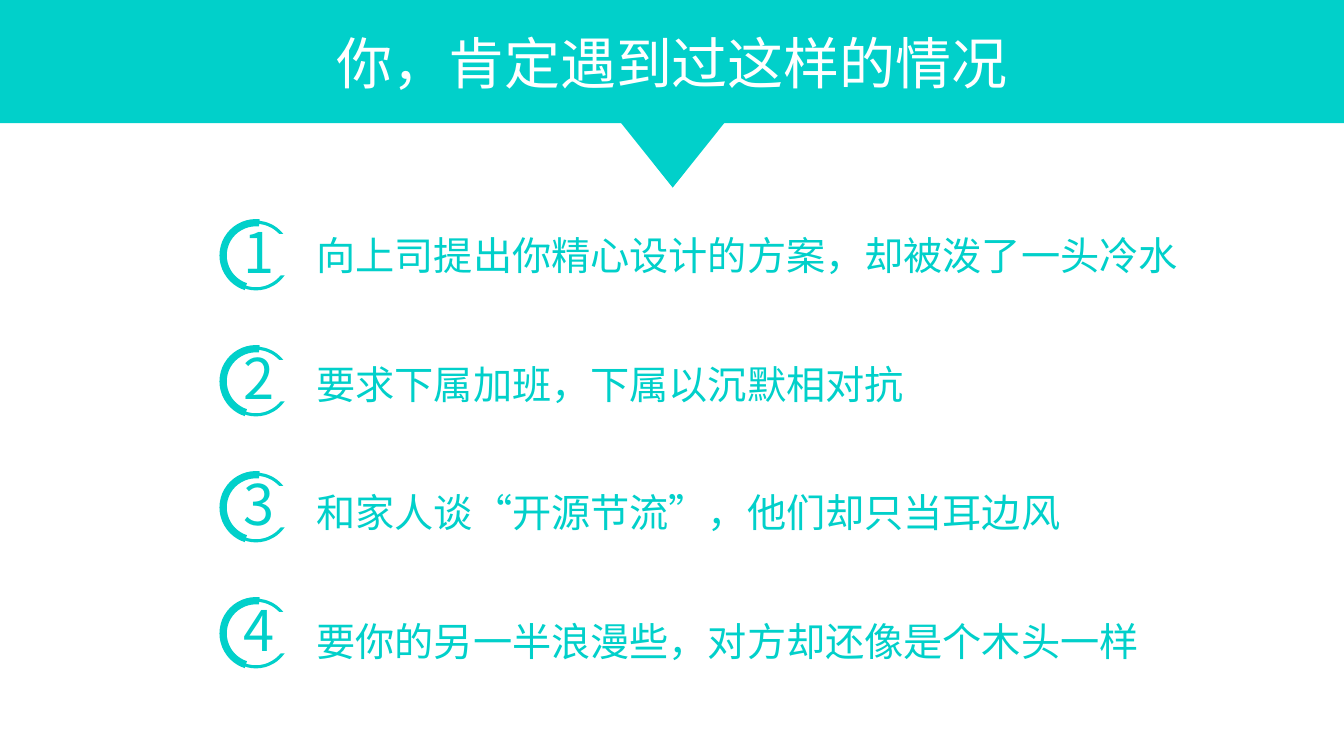
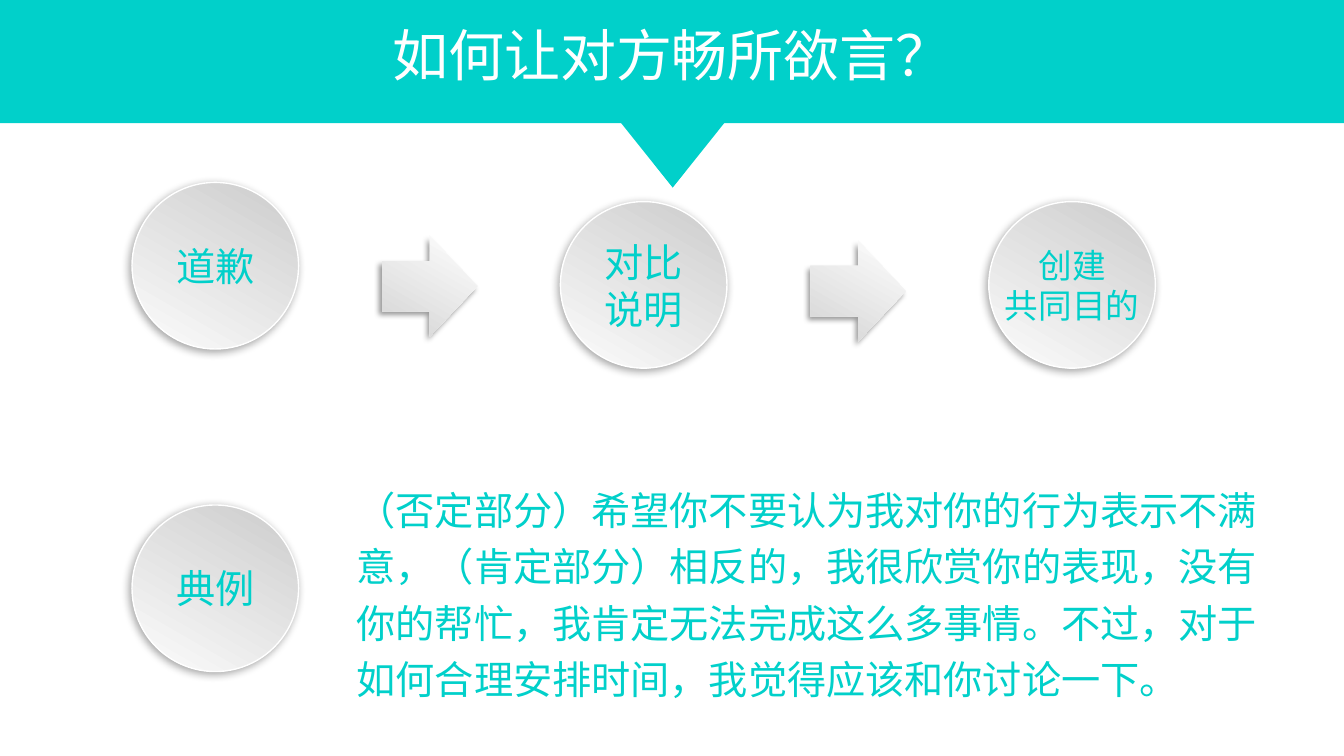
from dataclasses import dataclass
from lxml.etree import SubElement
from pptx import Presentation
from pptx.dml.color import RGBColor as RGB
from pptx.enum.shapes import MSO_SHAPE as SHAPE
from pptx.enum.text import MSO_ANCHOR as ANCHOR, MSO_AUTO_SIZE as AUTO, PP_ALIGN as ALIGN
from pptx.oxml.ns import qn
from pptx.util import Pt


@dataclass(frozen=True)
class Theme:
    teal: RGB = RGB(0x01, 0xD0, 0xCA)
    white: RGB = RGB(0xFF, 0xFF, 0xFF)
    pale: RGB = RGB(0xFC, 0xFC, 0xFC)
    grey: RGB = RGB(0xD9, 0xD9, 0xD9)
    dark_grey: RGB = RGB(0xCC, 0xCC, 0xCC)
    font: str = "Noto Sans CJK SC"
    title: int = 40
    body: int = 28
    small: int = 24


T = Theme()


def add_shape(s, kind, x, y, w, h, fill=None, line=None, shadow=None):
    sp = s.shapes.add_shape(kind, Pt(x), Pt(y), Pt(w), Pt(h))
    sp.shadow.inherit = False
    if isinstance(fill, list):
        sp.fill.gradient()
        sp.fill.gradient_angle = 240
        for stop, (pos, color) in zip(sp.fill.gradient_stops, fill):
            stop.position = pos
            stop.color.rgb = color
    elif fill is not None:
        sp.fill.solid()
        sp.fill.fore_color.rgb = fill
    else:
        sp.fill.background()
    if line:
        sp.line.color.rgb, sp.line.width = line[0], Pt(line[1])
    else:
        sp.line.fill.background()
    if shadow:
        alpha, blur, dist, angle = shadow
        effects = sp.element.spPr.find(qn("a:effectLst"))
        outer = SubElement(effects, qn("a:outerShdw"), blurRad=str(Pt(blur)), dist=str(Pt(dist)),
                           dir=str(angle * 60000), algn="ctr", rotWithShape="0")
        black = SubElement(outer, qn("a:srgbClr"), val="000000")
        SubElement(black, qn("a:alpha"), val=str(alpha * 1000))
    return sp


def write(tf, lines, size, color=T.teal, align=ALIGN.LEFT, wrap=False, spacing=1.0):
    tf.word_wrap = wrap
    tf.auto_size = AUTO.NONE
    for i, line in enumerate(lines):
        p = tf.add_paragraph() if i else tf.paragraphs[0]
        p.alignment = align
        p.line_spacing = spacing
        r = p.add_run()
        r.text = line
        r.font.size = Pt(size)
        r.font.name = T.font
        r.font.color.rgb = color
        SubElement(r.font._element, qn("a:ea"), typeface=T.font)


prs = Presentation()
prs.slide_width, prs.slide_height = Pt(960), Pt(540)
layout = prs.slide_layouts[5]

slides = []
for text, top in [("你，肯定遇到过这样的情况", 16.6), ("如何让对方畅所欲言？", 10.8)]:
    s = prs.slides.add_slide(layout)
    title = s.shapes.title
    title.left, title.top, title.width, title.height = Pt(0), Pt(top), Pt(960), Pt(55.4)
    title.text_frame.vertical_anchor = ANCHOR.MIDDLE
    write(title.text_frame, [text], T.title, T.white, ALIGN.CENTER, True)
    slides.append(s)
situations, steps = slides

band = add_shape(situations, SHAPE.RECTANGLE, 0, 0, 960, 88, T.teal)
pointer = add_shape(situations, SHAPE.ISOSCELES_TRIANGLE, 442, 85.8, 77, 48.2, T.teal)
pointer.rotation = 180
for sp in (band, pointer):
    layout.shapes.element.append(sp.element)

items = [
    "向上司提出你精心设计的方案，却被泼了一头冷水",
    "要求下属加班，下属以沉默相对抗",
    "和家人谈“开源节流”，他们却只当耳边风",
    "要你的另一半浪漫些，对方却还像是个木头一样",
]
for i, item in enumerate(items):
    y = 156.5 + 90 * i
    add_shape(situations, SHAPE.OVAL, 159, y + 2.2, 47.6, 47.6, line=(T.teal, 2.25))
    arc = add_shape(situations, SHAPE.BLOCK_ARC, 156.8, y, 52, 52, T.teal)
    for j, value in enumerate((64.68, 165.6, 0.1)):
        arc.adjustments[j] = value
    add_shape(situations, SHAPE.RECTANGLE, 175.7, y + 10.8, 79, 29.5, T.white)
    number = situations.shapes.add_textbox(Pt(167), Pt(y - 4.5), Pt(37.4), Pt(55.4))
    write(number.text_frame, [str(i + 1)], T.title)
    label = situations.shapes.add_textbox(Pt(219), Pt(162 + 91.7 * i), Pt(14.4 + T.body * len(item)), Pt(41))
    write(label.text_frame, [item], T.body)

example = steps.shapes.add_textbox(Pt(247.7), Pt(337), Pt(702.7), Pt(170))
write(example.text_frame, [
    "（否定部分）希望你不要认为我对你的行为表示不满",
    "意，（肯定部分）相反的，我很欣赏你的表现，没有",
    "你的帮忙，我肯定无法完成这么多事情。不过，对于",
    "如何合理安排时间，我觉得应该和你讨论一下。",
], T.body, wrap=True, spacing=1.2)

pitch = 306
circles = [
    (0, 130.3, ["道歉"], T.body),
    (1, 144, ["对比", "说明"], T.body),
    (2, 144, ["创建", "共同目的"], T.small),
    (0, 360.7, ["典例"], T.body),
]
for column, y, lines, size in circles:
    sp = add_shape(steps, SHAPE.OVAL, 94.3 + pitch * column, y, 119, 119,
                   [(0, T.dark_grey), (1, T.pale)], (T.white, 1), (34, 6, 2, 136))
    tf = sp.text_frame
    tf.margin_left = tf.margin_right = tf.margin_top = tf.margin_bottom = 0
    tf.vertical_anchor = ANCHOR.MIDDLE
    write(tf, lines, size, align=ALIGN.CENTER)

for column, y in enumerate((168.5, 172)):
    add_shape(steps, SHAPE.RIGHT_ARROW, 273 + pitch * column, y, 68, 72,
              [(0, T.white), (0.89, T.grey)], shadow=(40, 4, 3, 135))

prs.save("out.pptx")
